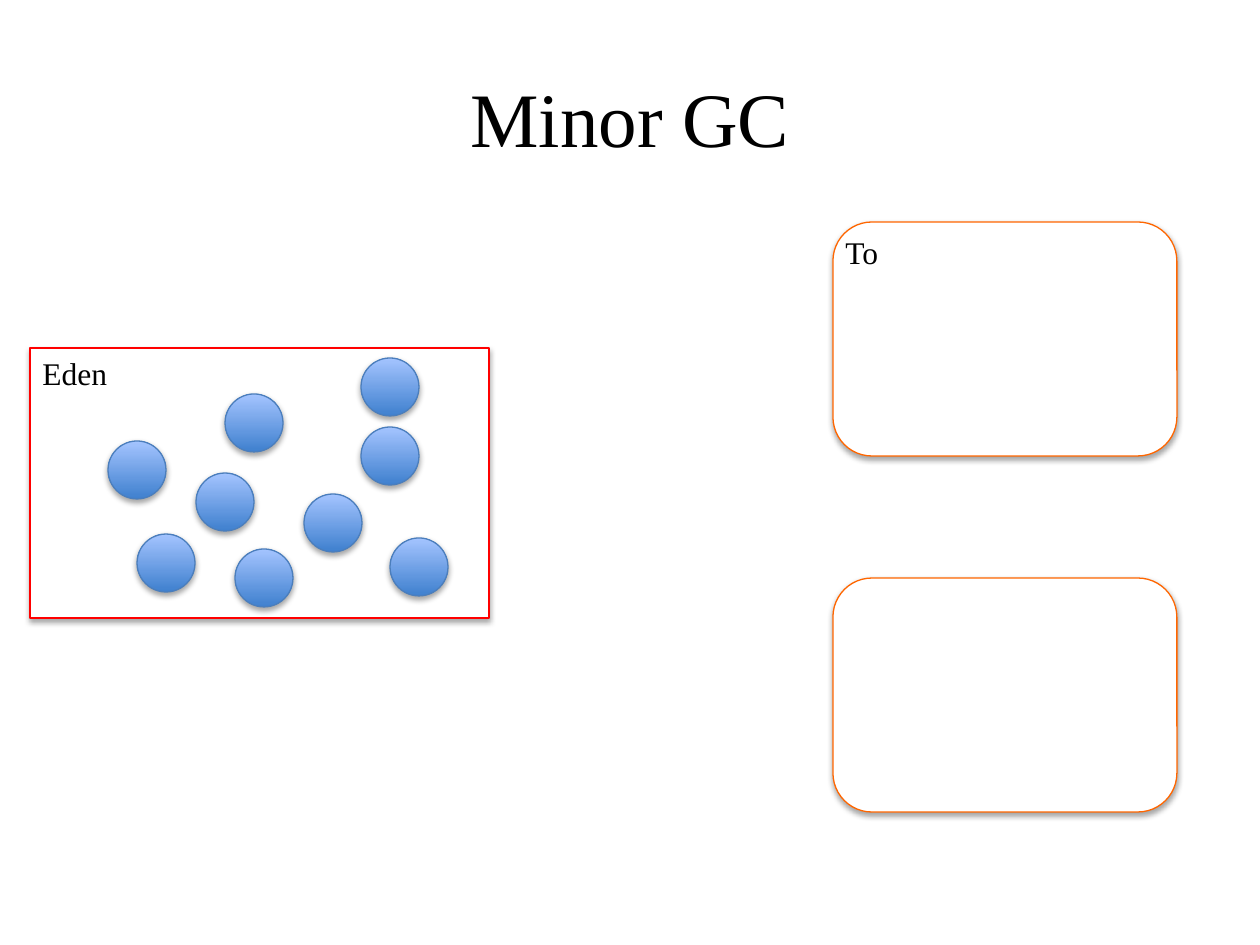
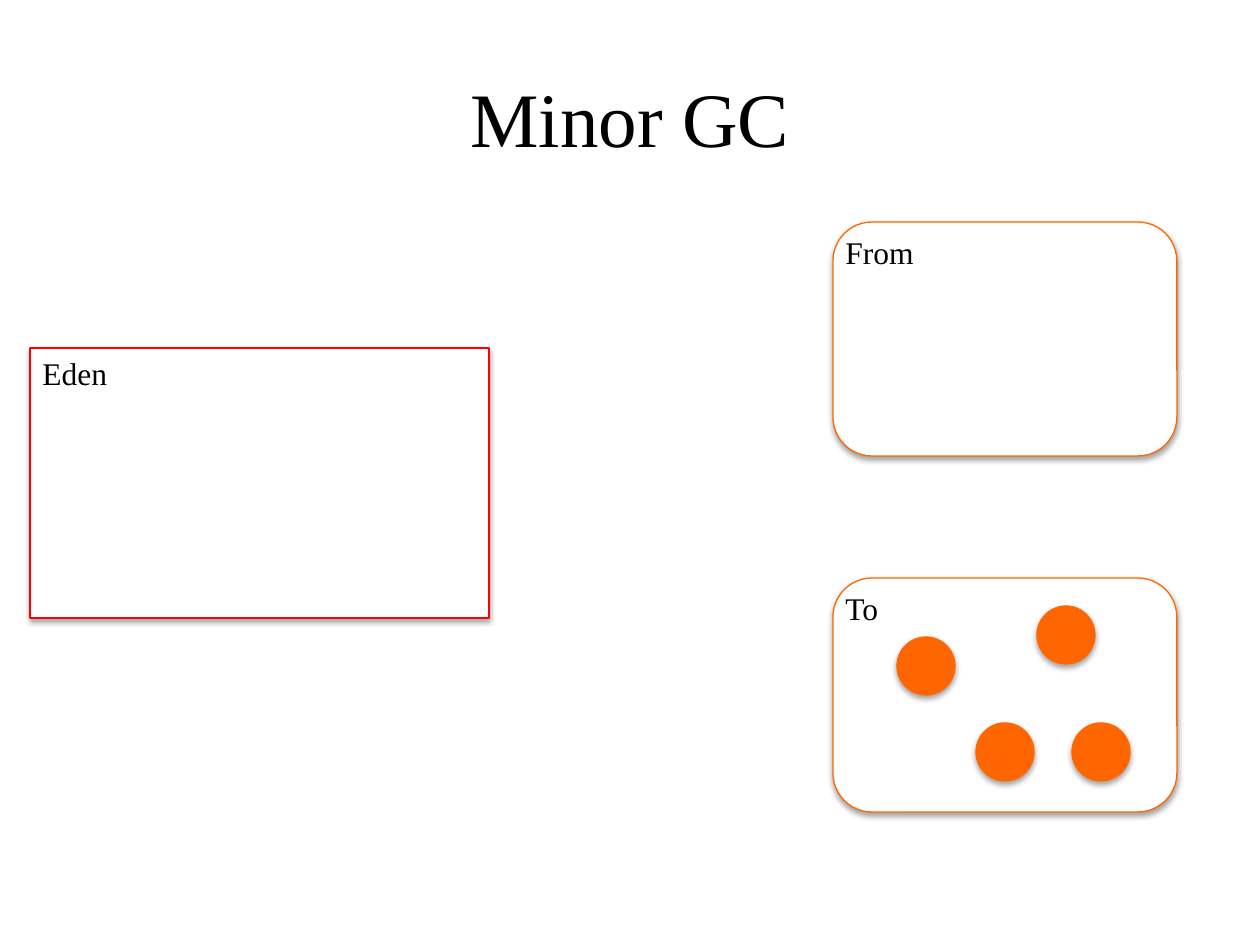
from dataclasses import dataclass

from lxml.etree import SubElement
from pptx import Presentation
from pptx.dml.color import RGBColor
from pptx.enum.shapes import MSO_SHAPE
from pptx.enum.text import MSO_ANCHOR, PP_ALIGN
from pptx.oxml.ns import qn
from pptx.util import Emu, Pt

PX = 914400 // 126


@dataclass(frozen=True)
class Theme:
    font: str = "Times New Roman"
    title_size: int = 44
    label_size: int = 18
    line_width: float = 0.75
    text: str = "000000"
    shadow: str = "000000"
    paper: str = "FFFFFF"
    eden_line: str = "FF0000"
    survivor: str = "FF6600"
    object_line: str = "4B7EBC"
    object_gradient: tuple = ("3F80CE", "A4C4FF")


THEME = Theme()

# Memory areas: left, top, width, height
EDEN = (30, 348, 459, 270)
UPPER_SURVIVOR = (833, 222, 344, 234)
LOWER_SURVIVOR = (833, 578, 344, 234)
LABEL_HEIGHT = 50
SURVIVOR_LABEL_DROP = 5

# Objects in memory: left, top of each circle
OBJECT_SIZE = 58
EDEN_OBJECTS = [(108, 441), (225, 394), (304, 494), (137, 534), (361, 427),
                (196, 473), (361, 358), (235, 549), (390, 538)]
SURVIVING_OBJECTS = [(897, 637), (976, 723), (1037, 606), (1072, 723)]


def color(value):
    return RGBColor.from_string(value)


def px(*lengths):
    return [Emu(length * PX) for length in lengths]


def write(frame, text, *, size, align=PP_ALIGN.LEFT, anchor=MSO_ANCHOR.TOP):
    frame.word_wrap = True
    frame.vertical_anchor = anchor
    para = frame.paragraphs[0]
    para.alignment = align
    span = para.add_run()
    span.text = text
    span.font.name = THEME.font
    span.font.size = Pt(size)
    span.font.color.rgb = color(THEME.text)


def add_shadow(shape):
    shape.shadow.inherit = False
    effects = shape._element.spPr.find(qn("a:effectLst"))
    shadow = SubElement(effects, qn("a:outerShdw"), blurRad="40000",
                        dist="23000", dir="5400000", rotWithShape="0")
    shade = SubElement(shadow, qn("a:srgbClr"), val=THEME.shadow)
    SubElement(shade, qn("a:alpha"), val="35000")


def add_figure(page, kind, bounds, *, fill, line):
    """Add a shadowed shape; a tuple as fill gives a bottom-to-top gradient."""
    shape = page.shapes.add_shape(kind, *px(*bounds))
    if isinstance(fill, tuple):
        shape.fill.gradient()
        shape.fill.gradient_angle = 90
        for stop, position, value in zip(shape.fill.gradient_stops, (0, 1), fill):
            stop.position = position
            stop.color.rgb = color(value)
    else:
        shape.fill.solid()
        shape.fill.fore_color.rgb = color(fill)
    shape.line.color.rgb = color(line)
    shape.line.width = Pt(THEME.line_width)
    add_shadow(shape)


def add_label(page, text, left, top, width):
    box = page.shapes.add_textbox(*px(left, top, width, LABEL_HEIGHT))
    write(box.text_frame, text, size=THEME.label_size)


def add_survivor(page, bounds, label):
    add_figure(page, MSO_SHAPE.ROUNDED_RECTANGLE, bounds,
               fill=THEME.paper, line=THEME.survivor)
    if label:
        left, top = bounds[:2]
        add_label(page, label, left, top + SURVIVOR_LABEL_DROP, 186)


def add_objects(page, corners, *, fill, line):
    for left, top in corners:
        add_figure(page, MSO_SHAPE.OVAL, (left, top, OBJECT_SIZE, OBJECT_SIZE),
                   fill=fill, line=line)


def add_memory_page(deck, upper_label, lower_label=None):
    page = deck.slides.add_slide(deck.slide_layouts[5])
    # Title
    title = page.shapes.title
    title.left, title.top, title.width, title.height = px(63, 38, 1134, 157)
    write(title.text_frame, "Minor GC", size=THEME.title_size,
          align=PP_ALIGN.CENTER, anchor=MSO_ANCHOR.MIDDLE)
    # Eden and the two survivor areas
    add_figure(page, MSO_SHAPE.RECTANGLE, EDEN,
               fill=THEME.paper, line=THEME.eden_line)
    add_label(page, "Eden", *EDEN[:2], 180)
    add_survivor(page, UPPER_SURVIVOR, upper_label)
    add_survivor(page, LOWER_SURVIVOR, lower_label)
    return page


def main():
    deck = Presentation()
    deck.slide_width, deck.slide_height = px(1260, 945)

    # Before collection: new objects fill Eden
    before = add_memory_page(deck, "To")
    add_objects(before, EDEN_OBJECTS,
                fill=THEME.object_gradient, line=THEME.object_line)

    # After collection: the survivors are in the lower area
    after = add_memory_page(deck, "From", "To")
    add_objects(after, SURVIVING_OBJECTS,
                fill=THEME.survivor, line=THEME.survivor)

    deck.save("out.pptx")


if __name__ == "__main__":
    main()
